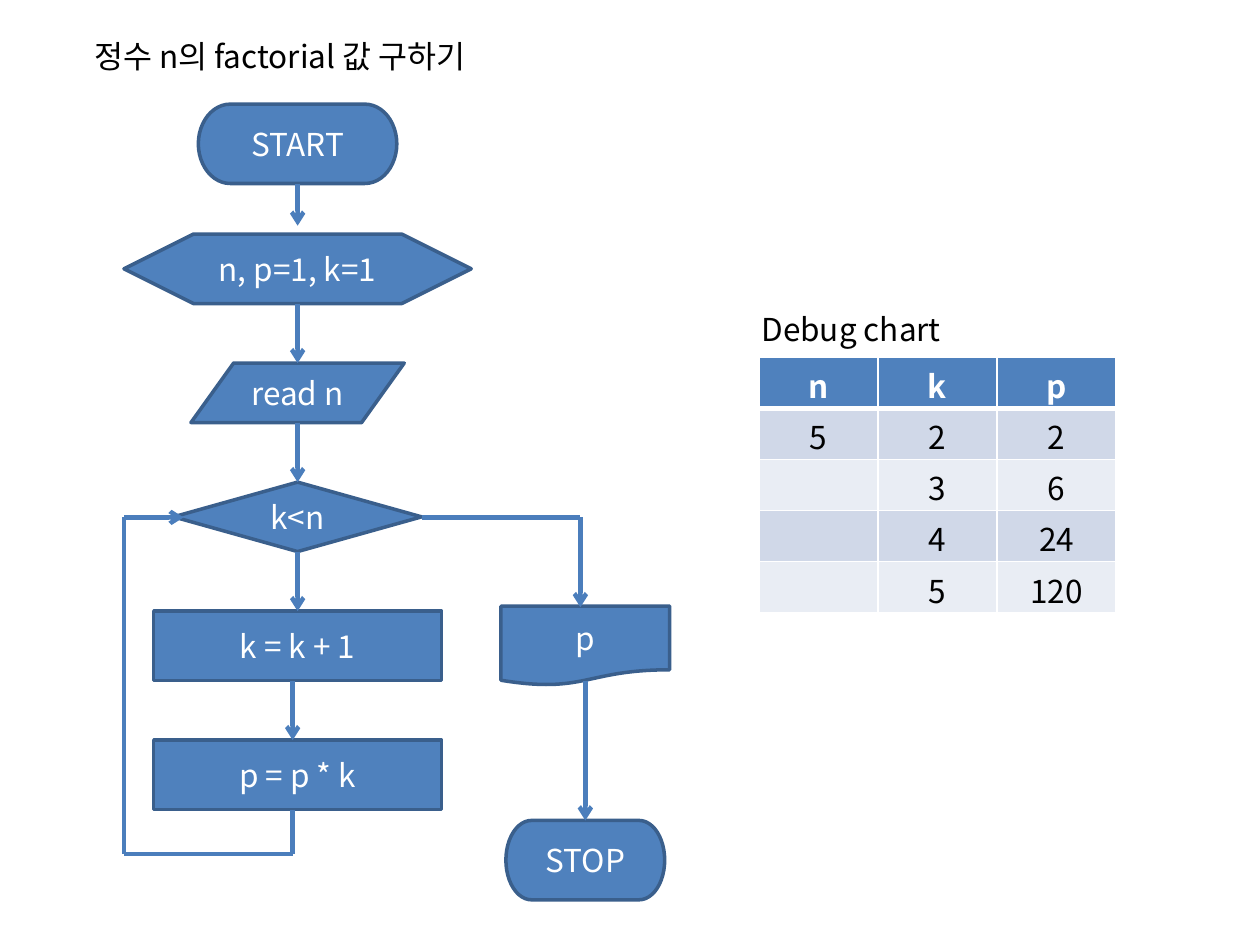
from lxml import etree
from pptx import Presentation
from pptx.dml.color import RGBColor
from pptx.enum.shapes import MSO_CONNECTOR, MSO_SHAPE
from pptx.enum.text import MSO_ANCHOR, PP_ALIGN
from pptx.oxml.ns import qn
from pptx.util import Cm, Pt

TERMINATOR = MSO_SHAPE.FLOWCHART_TERMINATOR
PREPARATION = MSO_SHAPE.FLOWCHART_PREPARATION
INPUT_OUTPUT = MSO_SHAPE.FLOWCHART_DATA
DECISION = MSO_SHAPE.FLOWCHART_DECISION
PROCESS = MSO_SHAPE.FLOWCHART_PROCESS
DOCUMENT = MSO_SHAPE.FLOWCHART_DOCUMENT
STRAIGHT = MSO_CONNECTOR.STRAIGHT
CENTER, LEFT = PP_ALIGN.CENTER, PP_ALIGN.LEFT
MIDDLE = MSO_ANCHOR.MIDDLE

BLUE = RGBColor(0x4F, 0x81, 0xBD)
OUTLINE = RGBColor(0x3A, 0x5F, 0x8C)
FLOW = RGBColor(0x4B, 0x7E, 0xBC)
BAND_DARK = RGBColor(0xD0, 0xD8, 0xE8)
BAND_LIGHT = RGBColor(0xE9, 0xED, 0xF4)
WHITE = RGBColor(0xFF, 0xFF, 0xFF)
BLACK = RGBColor(0, 0, 0)
FONT = "Noto Sans CJK KR"

MAIN_X, LOOP_X, BACK_X = 6, 5.9, 2.5
OUTPUT_X, BRANCH_X = 11.8, 11.7
BRANCH_Y, BACK_Y = 10.43, 17.22

STEPS = [
    (TERMINATOR, "START", MAIN_X, 2.1, 4, 1.6),
    (PREPARATION, "n, p=1, k=1", MAIN_X, 4.72, 7, 1.4),
    (INPUT_OUTPUT, "read n", MAIN_X, 7.32, 4.3, 1.2),
    (DECISION, "k<n", MAIN_X, 9.72, 5, 1.4),
    (PROCESS, "k = k + 1", MAIN_X, 12.32, 5.8, 1.4),
    (PROCESS, "p = p * k", MAIN_X, 14.92, 5.8, 1.4),
    (DOCUMENT, "p", OUTPUT_X, 12.22, 3.4, 1.6),
    (TERMINATOR, "STOP", OUTPUT_X, 16.54, 3.2, 1.6),
]

LINES = [
    (8.5, BRANCH_Y, BRANCH_X, BRANCH_Y),
    (BACK_X, BRANCH_Y, BACK_X, BACK_Y),
    (BACK_X, BACK_Y, LOOP_X, BACK_Y),
    (LOOP_X, 16.32, LOOP_X, BACK_Y),
]

ARROWS = [
    (BACK_X, BRANCH_Y, 3.7, BRANCH_Y),
    (MAIN_X, 3.7, MAIN_X, 4.55),
    (MAIN_X, 6.12, MAIN_X, 7.32),
    (MAIN_X, 8.52, MAIN_X, 9.72),
    (MAIN_X, 11.12, MAIN_X, 12.32),
    (LOOP_X, 13.72, LOOP_X, 14.92),
    (OUTPUT_X, 13.72, OUTPUT_X, 16.54),
    (BRANCH_X, BRANCH_Y, BRANCH_X, 12.24),
]

DEBUG_ROWS = [
    ("n", "k", "p"),
    ("5", "2", "2"),
    ("", "3", "6"),
    ("", "4", "24"),
    ("", "5", "120"),
]


def set_text(frame, text, color, align=CENTER, bold=False):
    frame.text = text
    para = frame.paragraphs[0]
    para.alignment = align
    for span in para.runs:
        span.font.name = FONT
        span.font.size = Pt(18)
        span.font.bold = bold
        span.font.color.rgb = color
        east_asian = etree.SubElement(span.font._element, qn("a:ea"))
        east_asian.set("typeface", FONT)


def add_step(page, kind, text, center, top, width, height):
    box = page.shapes.add_shape(
        kind, Cm(center - width / 2), Cm(top), Cm(width), Cm(height))
    box.shadow.inherit = False
    box.fill.solid()
    box.fill.fore_color.rgb = BLUE
    box.line.color.rgb = OUTLINE
    box.line.width = Pt(2)
    box.text_frame.vertical_anchor = MIDDLE
    set_text(box.text_frame, text, WHITE)


def add_flow(page, ends, arrow=False):
    flow = page.shapes.add_connector(STRAIGHT, *[Cm(value) for value in ends])
    flow.line.color.rgb = FLOW
    flow.line.width = Pt(2.5)
    if arrow:
        tail = etree.SubElement(flow.line._get_or_add_ln(), qn("a:tailEnd"))
        tail.set("type", "arrow")
    etree.SubElement(flow._element.spPr, qn("a:effectLst"))


def add_label(page, text, left, top, width):
    box = page.shapes.add_textbox(Cm(left), Cm(top), Cm(width), Cm(1.03))
    box.text_frame.word_wrap = True
    set_text(box.text_frame, text, BLACK, LEFT)


def set_borders(cell, bottom_width):
    properties = cell._tc.get_or_add_tcPr()
    widths = {"a:lnL": 1, "a:lnR": 1, "a:lnT": 1, "a:lnB": bottom_width}
    for position, (side, width) in enumerate(widths.items()):
        border = etree.Element(qn(side), w=str(Pt(width)))
        fill = etree.SubElement(border, qn("a:solidFill"))
        etree.SubElement(fill, qn("a:srgbClr"), val=str(WHITE))
        properties.insert(position, border)


def add_debug_table(page):
    row_height, column_width = 1.03, 2.4
    count, columns = len(DEBUG_ROWS), len(DEBUG_ROWS[0])
    table = page.shapes.add_table(
        count, columns, Cm(15.3), Cm(7.2),
        Cm(columns * column_width), Cm(count * row_height)).table
    for row, values in enumerate(DEBUG_ROWS):
        header = row == 0
        band = BAND_DARK if row % 2 else BAND_LIGHT
        for column, value in enumerate(values):
            cell = table.cell(row, column)
            cell.margin_top, cell.margin_bottom = Cm(0.1), Cm(0)
            cell.fill.solid()
            cell.fill.fore_color.rgb = BLUE if header else band
            set_text(cell.text_frame, value, WHITE if header else BLACK, bold=header)
            set_borders(cell, 3 if header else 1)


def main():
    deck = Presentation()
    deck.slide_width, deck.slide_height = Cm(25.4), Cm(19.05)
    page = deck.slides.add_slide(deck.slide_layouts[6])
    for step in STEPS:
        add_step(page, *step)
    for ends in LINES:
        add_flow(page, ends)
    for ends in ARROWS:
        add_flow(page, ends, arrow=True)
    add_label(page, "Debug chart", 15.1, 6.12, 4.16)
    add_debug_table(page)
    add_label(page, "정수 n의 factorial 값 구하기", 1.65, 0.63, 8.6)
    deck.save("out.pptx")


main()
